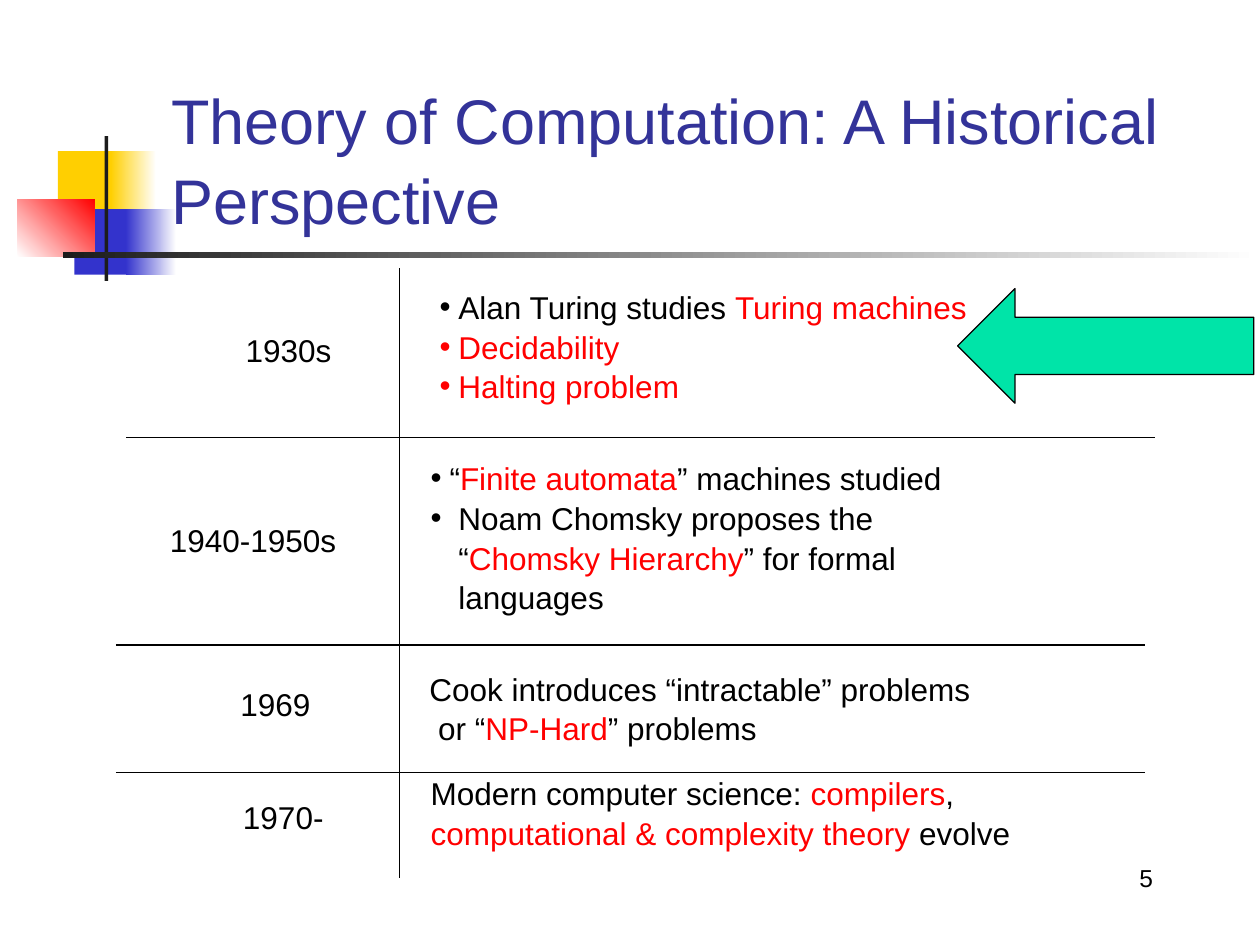
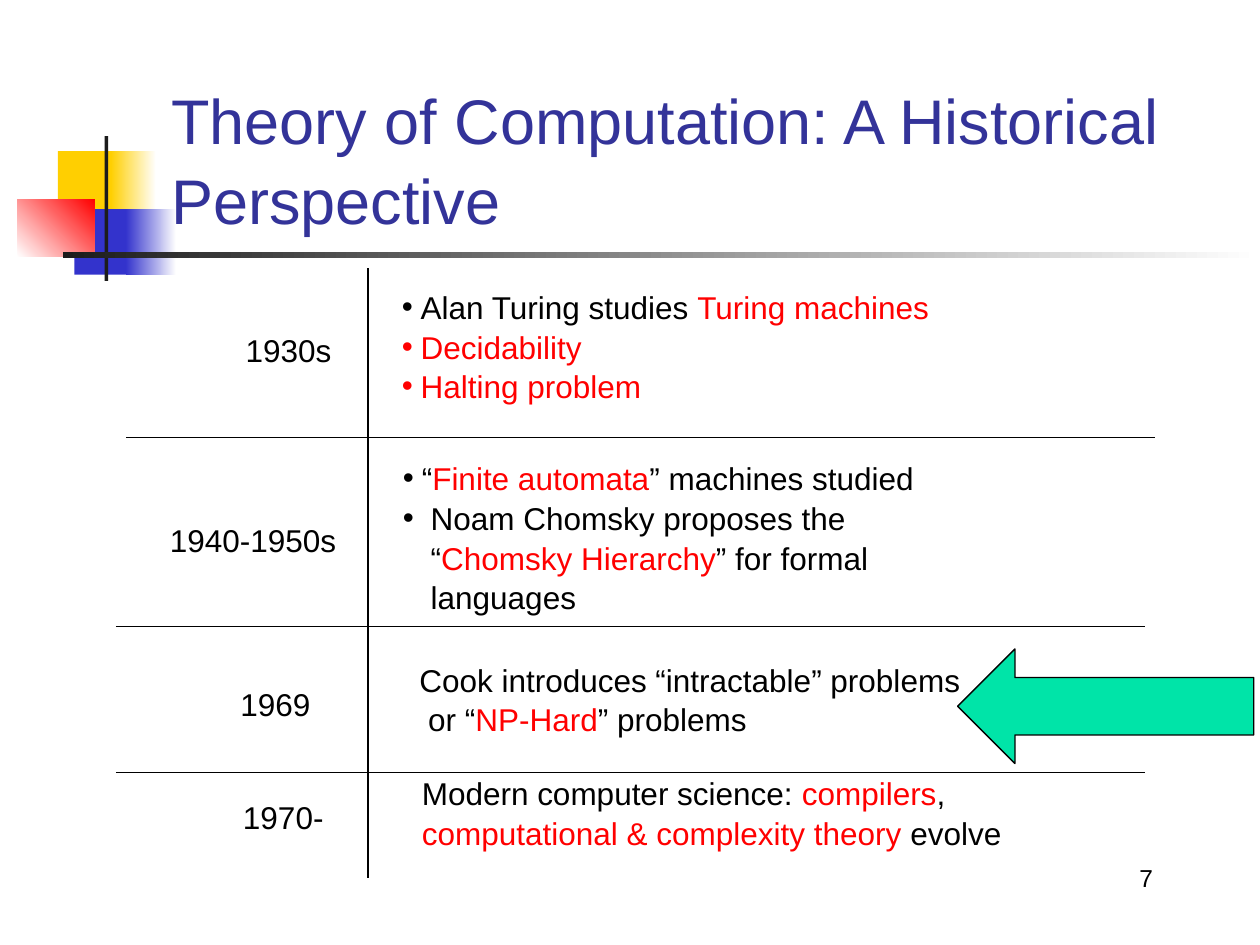
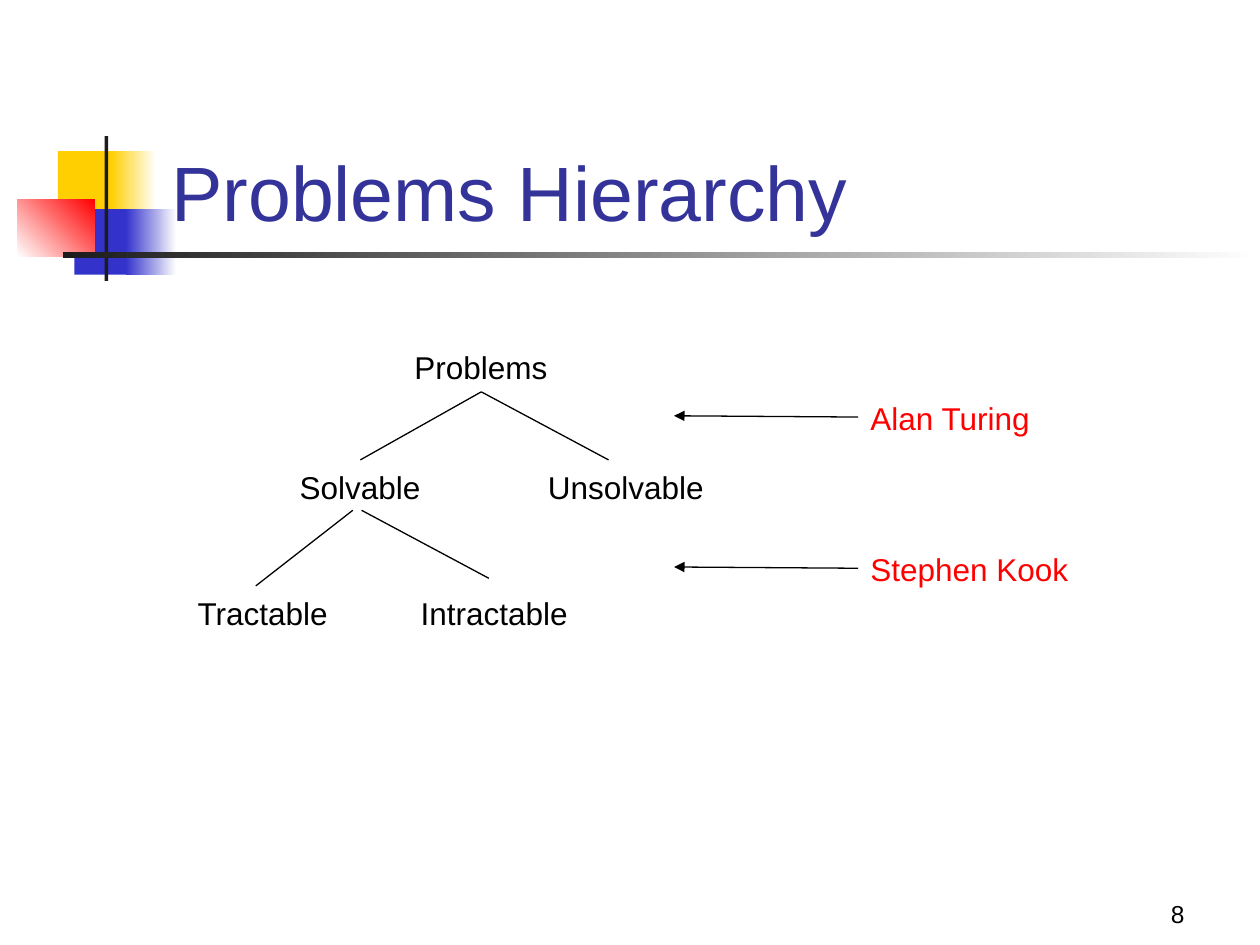
import pptx
import pptx.util
import pptx.dml.color
import pptx.enum.shapes
import pptx.enum.text
import pptx.oxml.ns
import lxml.etree

Inches = pptx.util.Inches
Pt = pptx.util.Pt
RGBColor = pptx.dml.color.RGBColor
Shape = pptx.enum.shapes.MSO_SHAPE
Anchor = pptx.enum.text.MSO_ANCHOR
Align = pptx.enum.text.PP_ALIGN
Fit = pptx.enum.text.MSO_AUTO_SIZE
qn = pptx.oxml.ns.qn

BLACK = RGBColor(0x00, 0x00, 0x00)
WHITE = RGBColor(0xFF, 0xFF, 0xFF)
RED = RGBColor(0xFF, 0x00, 0x00)
NAVY = RGBColor(0x33, 0x33, 0x99)
BLUE = RGBColor(0x33, 0x33, 0xCC)
GOLD = RGBColor(0xFF, 0xCF, 0x01)
DARK = RGBColor(0x1C, 0x1C, 0x1C)
GREEN = RGBColor(0x00, 0xE4, 0xA8)

BANDS = [
    ((0.46, 1.2, 0.48, 0.52), [GOLD], 0),
    ((0.88, 1.2, 0.36, 0.52), [GOLD, WHITE], 0),
    ((0.59, 1.66, 0.46, 0.52), [BLUE], 0),
    ((1, 1.66, 0.4, 0.52), [BLUE, WHITE], 0),
    ((0.14, 1.58, 0.61, 0.46), [WHITE, RED], 45),
    ((0.83, 1.08, 0.03, 1.15), [DARK], 0),
    ((0.5, 2, 9.5, 0.05), [DARK, WHITE], 0),
]

ERAS = [
    ("1930s", 1.85, 2.56, 1.11),
    ("1940-1950s", 1.25, 4.07, 1.96),
    ("1969", 1.81, 5.37, 0.94),
    ("1970-", 1.83, 6.27, 1.05),
]
TURING = ["Alan Turing studies *Turing machines*", "*Decidability*", "*Halting problem*"]
CHOMSKY = ["“*Finite automata*” machines studied",
           "Noam Chomsky proposes the\n“*Chomsky Hierarchy*” for formal\nlanguages"]
COOK = ["Cook introduces “intractable” problems\n or “*NP-Hard*” problems"]
MODERN = ["Modern computer science: *compilers*,\n*computational & complexity theory* evolve"]


def assign(item, values):
    for name, value in values.items():
        setattr(item, name, value)


class Deck:
    font = "Arial"
    size = 18
    lead = 1.05
    thin = 0.75

    def __init__(self):
        self.file = pptx.Presentation()
        assign(self.file, {"slide_width": Inches(10), "slide_height": Inches(7.5)})
        self.base = self.file.slide_layouts[5]
        self.slide = None

    def start(self, title, size, wide, number, left, top):
        first = self.slide is None
        self.slide = self.file.slides.add_slide(self.base)
        if first:
            self.brand()
        head = self.slide.shapes.title
        assign(head, {"left": Inches(1.26), "top": Inches(0.68),
                      "width": Inches(wide), "height": Inches(1.25)})
        self.fill_text(head.text_frame, [title], size, NAVY,
                       frame={"vertical_anchor": Anchor.BOTTOM, "word_wrap": True, "auto_size": Fit.NONE})
        self.text([number], left, top, 2.08, 0.5, size=14, align=Align.RIGHT,
                  frame={"vertical_anchor": Anchor.BOTTOM, "word_wrap": True, "auto_size": Fit.NONE})

    def brand(self):
        tree = self.base.shapes._spTree
        for box, tones, angle in BANDS:
            tree.append(self.shape(Shape.RECTANGLE, box, tones, angle)._element)

    def shape(self, kind, box, tones, angle=0, edge=None):
        item = self.slide.shapes.add_shape(kind, *map(Inches, box))
        item.shadow.inherit = False
        if len(tones) == 1:
            item.fill.solid()
            item.fill.fore_color.rgb = tones[0]
        else:
            item.fill.gradient()
            item.fill.gradient_angle = angle
            for stop, tone in zip(item.fill.gradient_stops, tones):
                stop.color.rgb = tone
        if edge is None:
            item.line.fill.background()
        else:
            item.line.color.rgb = edge
            item.line.width = Pt(self.thin)
        return item

    def arrow(self, top):
        item = self.shape(Shape.RIGHT_ARROW, (7.6, top, 2.35, 0.91), [GREEN], edge=BLACK)
        item.rotation = 180

    def line(self, x1, y1, x2, y2, tip=False):
        item = self.slide.shapes.add_connector(
            pptx.enum.shapes.MSO_CONNECTOR.STRAIGHT, *map(Inches, (x1, y1, x2, y2)))
        item.line.color.rgb = BLACK
        item.line.width = Pt(self.thin)
        if tip:
            lxml.etree.SubElement(item.line._ln, qn("a:tailEnd"), type="triangle")
        lxml.etree.SubElement(item._element.spPr, qn("a:effectLst"))

    def text(self, lines, left, top, wide, high, size=None, color=BLACK,
             align=Align.LEFT, hangs=(), frame=None):
        box = self.slide.shapes.add_textbox(*map(Inches, (left, top, wide, high)))
        frame = frame or {"word_wrap": False, "auto_size": Fit.SHAPE_TO_FIT_TEXT}
        self.fill_text(box.text_frame, lines, size or self.size, color, align, hangs, frame)

    def fill_text(self, body, lines, size, color, align=Align.LEFT, hangs=(), frame=None):
        assign(body, frame)
        for place, line in enumerate(lines):
            para = body.paragraphs[0] if place == 0 else body.add_paragraph()
            assign(para, {"alignment": align, "line_spacing": self.lead})
            if hangs:
                self.bullet(para, hangs[place])
            for turn, part in enumerate(line.split("*")):
                tone = RED if turn % 2 else color
                for row, words in enumerate(part.split("\n")):
                    if row:
                        para.add_line_break()
                    if words:
                        run = para.add_run()
                        run.text = words
                        assign(run.font, {"name": self.font, "size": Pt(size)})
                        run.font.color.rgb = tone

    def bullet(self, para, hang):
        props = para._p.get_or_add_pPr()
        props.set("marL", str(Inches(hang)))
        props.set("indent", str(-Inches(hang)))
        lxml.etree.SubElement(props, qn("a:buFont"), typeface=self.font)
        lxml.etree.SubElement(props, qn("a:buChar"), char="•")


def history(deck, number, lefts, cook, split, rule, arrow):
    deck.start("Theory of Computation: A Historical Perspective", 36, 8.12, number, 7.17, 6.63)
    for era, left, top, wide in ERAS:
        deck.text([era], left, top, wide, 0.5)
    deck.text(TURING, lefts[0], 2.22, 5.82, 1.31, hangs=(0.15, 0.15, 0.15))
    deck.text(CHOMSKY, lefts[1], 3.58, 5.67, 1.72, hangs=(0.15, 0.22))
    deck.text(COOK, lefts[2], cook, 5.99, 0.91)
    deck.text(MODERN, lefts[3], 6.08, 6.47, 0.91)
    for left, y in ((1, 3.47), (0.92, rule), (0.92, 6.13)):
        deck.line(left, y, left + 8.17, y)
    deck.line(split, 2.13, split, 6.97)
    deck.arrow(arrow)


def tree(deck):
    deck.start("Problems Hierarchy", 44, 8.52, "8", 7.42, 6.92)
    for word, left, top, wide in (
            ("Problems", 3.19, 2.7, 1.27), ("Solvable", 2.28, 3.65, 1.17),
            ("Unsolvable", 4.25, 3.65, 1.45), ("Tractable", 1.47, 4.65, 1.24),
            ("Intractable", 3.24, 4.65, 1.38)):
        deck.text([word], left, top, wide, 0.4)
    for ends in ((3.82, 3.11, 2.86, 3.65), (3.82, 3.11, 4.83, 3.65),
                 (2.8, 4.05, 2.03, 4.65), (2.87, 4.05, 3.88, 4.59)):
        deck.line(*ends)
    for name, top in (("Alan Turing", 3.1), ("Stephen Kook", 4.3)):
        deck.text([name], 6.81, top, 1.83, 0.4, color=RED,
                  frame={"word_wrap": True, "auto_size": Fit.SHAPE_TO_FIT_TEXT})
        deck.line(6.81, top + 0.21, 5.35, top + 0.2, tip=True)


def main():
    deck = Deck()
    history(deck, "5", (3.39, 3.32, 3.31, 3.32), 5.25, 3.17, 5.12, 2.29)
    history(deck, "7", (3.09, 3.1, 3.23, 3.25), 5.18, 2.92, 4.97, 5.15)
    tree(deck)
    deck.file.save("out.pptx")


if __name__ == "__main__":
    main()
